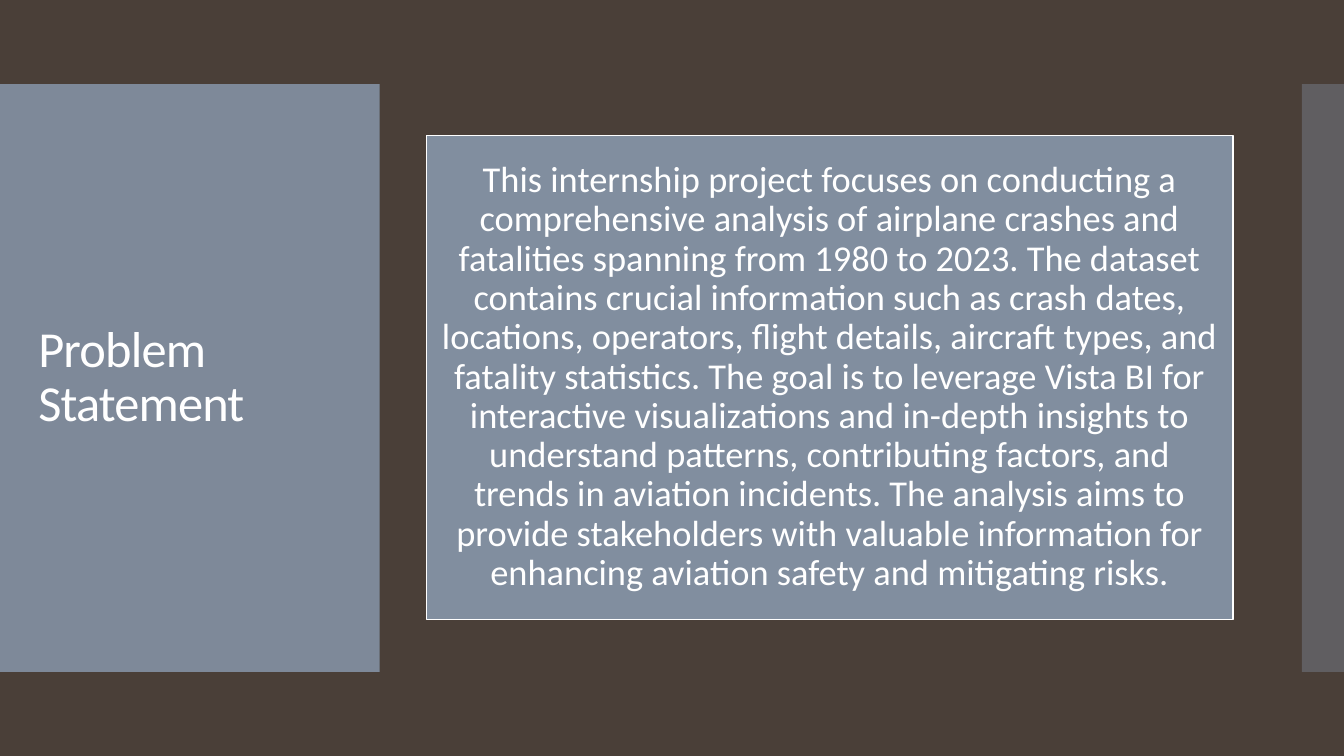
"""Build the problem statement slide."""
from lxml.etree import SubElement
from pptx import Presentation
from pptx.dml.color import RGBColor
from pptx.enum.shapes import MSO_SHAPE
from pptx.enum.text import MSO_ANCHOR, MSO_AUTO_SIZE, PP_ALIGN
from pptx.oxml.ns import qn
from pptx.util import Pt

TITLE = "Problem Statement"
STATEMENT = (
    "This internship project focuses on conducting a comprehensive analysis of "
    "airplane crashes and fatalities spanning from 1980 to 2023. The dataset "
    "contains crucial information such as crash dates, locations, operators, "
    "flight details, aircraft types, and fatality statistics. The goal is to "
    "leverage Vista BI for interactive visualizations and in-depth insights to "
    "understand patterns, contributing factors, and trends in aviation incidents. "
    "The analysis aims to provide stakeholders with valuable information for "
    "enhancing aviation safety and mitigating risks."
)

BROWN = RGBColor(0x4A, 0x3F, 0x38)
SLATE = RGBColor(0x81, 0x8E, 0x9F)
WHITE = RGBColor(0xFF, 0xFF, 0xFF)
FONT = "Calibri"

SLIDE_WIDTH, SLIDE_HEIGHT = 960, 540
BAND_TOP = 60
BAND_HEIGHT = SLIDE_HEIGHT - 2 * BAND_TOP
LEFT_WIDTH, RIGHT_WIDTH = 271.2, 30
BANDS = [(0, LEFT_WIDTH, 95), (SLIDE_WIDTH - RIGHT_WIDTH, RIGHT_WIDTH, 40)]
TITLE_BOX = (20.16, 88.8, 231.84, 362.4)
STATEMENT_BOX = (304.8, 96.7, 576, 345.6)
STATEMENT_INSET = 7.8


def add_rectangle(slide, left, top, width, height):
    shape = slide.shapes.add_shape(
        MSO_SHAPE.RECTANGLE, Pt(left), Pt(top), Pt(width), Pt(height)
    )
    shape.shadow.inherit = False
    shape.fill.solid()
    shape.fill.fore_color.rgb = SLATE
    return shape


def write_text(shape, text, size, alignment):
    frame = shape.text_frame
    frame.text = text
    frame.word_wrap = True
    frame.auto_size = MSO_AUTO_SIZE.NONE
    frame.vertical_anchor = MSO_ANCHOR.MIDDLE
    paragraph = frame.paragraphs[0]
    paragraph.alignment = alignment
    paragraph.line_spacing = 0.9
    run = paragraph.runs[0]
    run.font.name = FONT
    run.font.size = Pt(size)
    run.font.color.rgb = WHITE
    return run


def main():
    presentation = Presentation()
    presentation.slide_width = Pt(SLIDE_WIDTH)
    presentation.slide_height = Pt(SLIDE_HEIGHT)
    slide = presentation.slides.add_slide(presentation.slide_layouts[5])
    slide.background.fill.solid()
    slide.background.fill.fore_color.rgb = BROWN

    title = slide.shapes.title
    title.left, title.top, title.width, title.height = map(Pt, TITLE_BOX)
    title_run = write_text(title, TITLE, 36, PP_ALIGN.LEFT)
    title_run.font._element.set("spc", "-60")

    for left, width, opacity in BANDS:
        band = add_rectangle(slide, left, BAND_TOP, width, BAND_HEIGHT)
        band.line.fill.background()
        color = band.element.spPr.find(qn("a:solidFill")).find(qn("a:srgbClr"))
        SubElement(color, qn("a:alpha")).set("val", str(opacity * 1000))
        title.element.addprevious(band.element)

    statement = add_rectangle(slide, *STATEMENT_BOX)
    statement.line.color.rgb = WHITE
    statement.line.width = Pt(0.85)
    write_text(statement, STATEMENT, 26, PP_ALIGN.CENTER)
    frame = statement.text_frame
    frame.margin_left = frame.margin_right = Pt(STATEMENT_INSET)
    frame.margin_top = frame.margin_bottom = Pt(STATEMENT_INSET)

    presentation.save("out.pptx")


if __name__ == "__main__":
    main()
